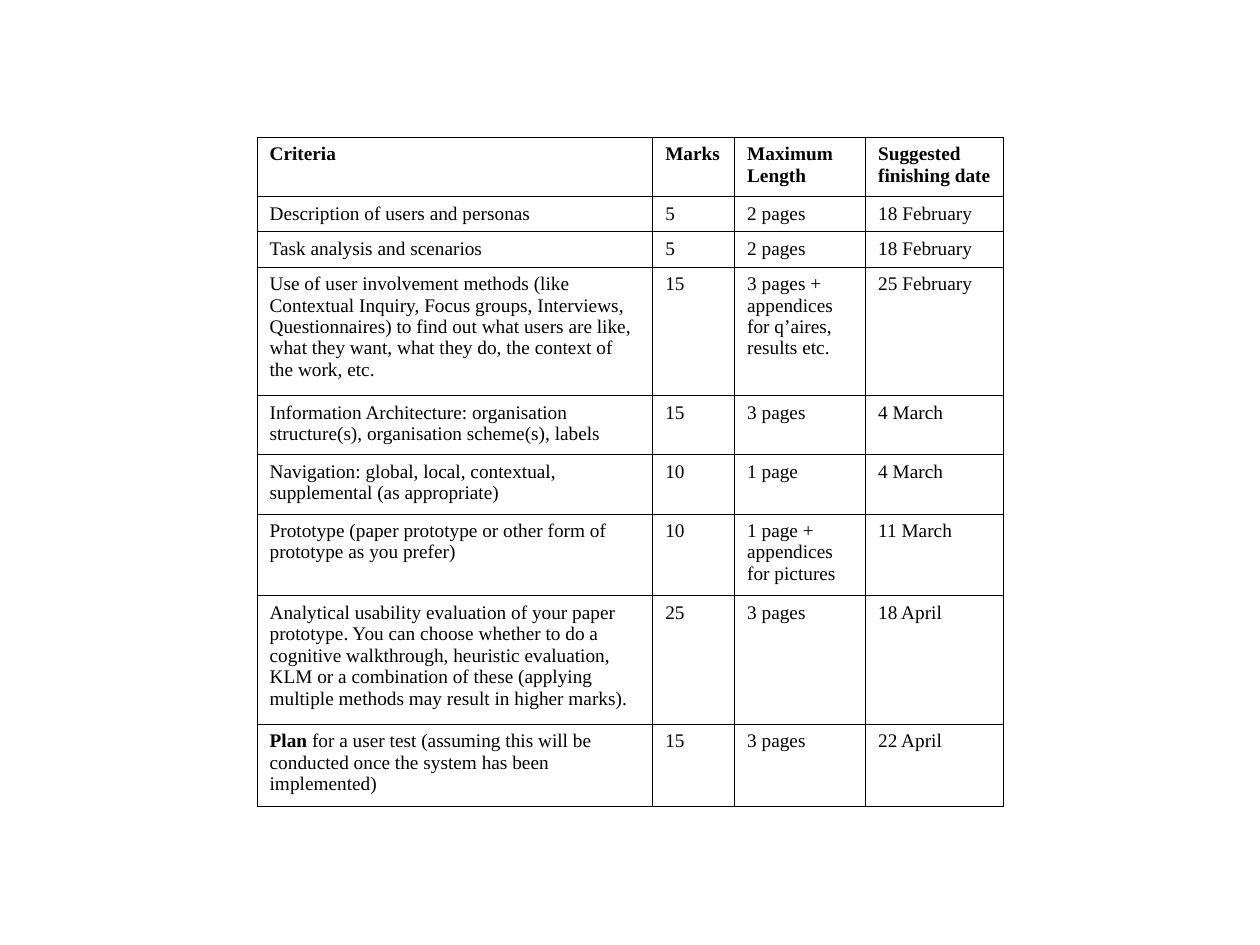
from typing import NamedTuple

from lxml import etree
from pptx import Presentation, util as u
from pptx.dml.color import RGBColor
from pptx.oxml.ns import qn

INK = {"text": "000000", "line": "000000"}
FONT = "Times New Roman"
COLS = [3.14, 0.65, 1.04, 1.09]


class Row(NamedTuple):
    high: float
    task: str
    marks: str
    size: str
    date: str
    lead: str = ""
    bold: bool = False


ROWS = [
    Row(0.47, "Criteria", "Marks", "Maximum\nLength",
        "Suggested\nfinishing date", bold=True),
    Row(0.28, "Description of users and personas", "5", "2 pages", "18 February"),
    Row(0.28, "Task analysis and scenarios", "5", "2 pages", "18 February"),
    Row(1.02, "Use of user involvement methods (like Contextual Inquiry, "
        "Focus groups, Interviews, Questionnaires) to find out what users "
        "are like, what they want, what they do, the context of the work, etc.",
        "15", "3 pages + appendices for q’aires, results etc.", "25 February"),
    Row(0.47, "Information Architecture: organisation structure(s), "
        "organisation scheme(s), labels", "15", "3 pages", "4 March"),
    Row(0.47, "Navigation: global, local, contextual, supplemental "
        "(as appropriate)", "10", "1 page", "4 March"),
    Row(0.65, "Prototype (paper prototype or other form of prototype "
        "as you prefer)", "10", "1 page + appendices for pictures", "11 March"),
    Row(1.02, "Analytical usability evaluation of your paper prototype. "
        "You can choose whether to do a cognitive walkthrough, heuristic "
        "evaluation, KLM or a combination of these (applying multiple "
        "methods may result in higher marks).", "25", "3 pages", "18 April"),
    Row(0.65, " for a user test (assuming this will be conducted once the "
        "system has been implemented)", "15", "3 pages", "22 April", lead="Plan"),
]


def add_text(para, words: str, *, size: float = 11, bold: bool = False,
             color: str = INK["text"]) -> None:
    run = para.add_run()
    run.text = words
    font = run.font
    font.name, font.size, font.bold = FONT, u.Pt(size), bold
    font.color.rgb = RGBColor.from_string(color)


def add_edges(cell, width: float = 0.45) -> None:
    props = cell._tc.get_or_add_tcPr()
    for spot, side in enumerate(("lnL", "lnR", "lnT", "lnB")):
        line = etree.Element(qn(f"a:{side}"), w=str(u.Pt(width)))
        fill = etree.SubElement(line, qn("a:solidFill"))
        etree.SubElement(fill, qn("a:srgbClr"), val=INK["line"])
        props.insert(spot, line)


def fill_cell(cell, words: str, lead: str = "", bold: bool = False) -> None:
    cell.fill.background()
    cell.margin_left, cell.margin_right = u.Inches(0.1), u.Inches(0.09)
    add_edges(cell)
    frame = cell.text_frame
    for spot, part in enumerate(words.split("\n")):
        para = frame.add_paragraph() if spot else frame.paragraphs[0]
        if lead:
            add_text(para, lead, bold=True)
        add_text(para, part, bold=bold)


def add_grid(slide, left: float, top: float, rows: list[Row]) -> None:
    high = sum(row.high for row in rows)
    table = slide.shapes.add_table(
        len(rows), len(COLS), u.Inches(left), u.Inches(top),
        u.Inches(sum(COLS)), u.Inches(high)).table
    table.first_row = table.horz_banding = False
    for col, wide in zip(table.columns, COLS):
        col.width = u.Inches(wide)
    for line, row in zip(table.rows, rows):
        line.height = u.Inches(row.high)
        leads = (row.lead, "", "", "")
        words = (row.task, row.marks, row.size, row.date)
        for cell, text, lead in zip(line.cells, words, leads):
            fill_cell(cell, text, lead, row.bold)


def main() -> None:
    deck = Presentation()
    deck.slide_width, deck.slide_height = u.Inches(10), u.Inches(7.5)
    slide = deck.slides.add_slide(deck.slide_layouts[6])
    add_grid(slide, 2.04, 1.09, ROWS)
    deck.save("out.pptx")


if __name__ == "__main__":
    main()
